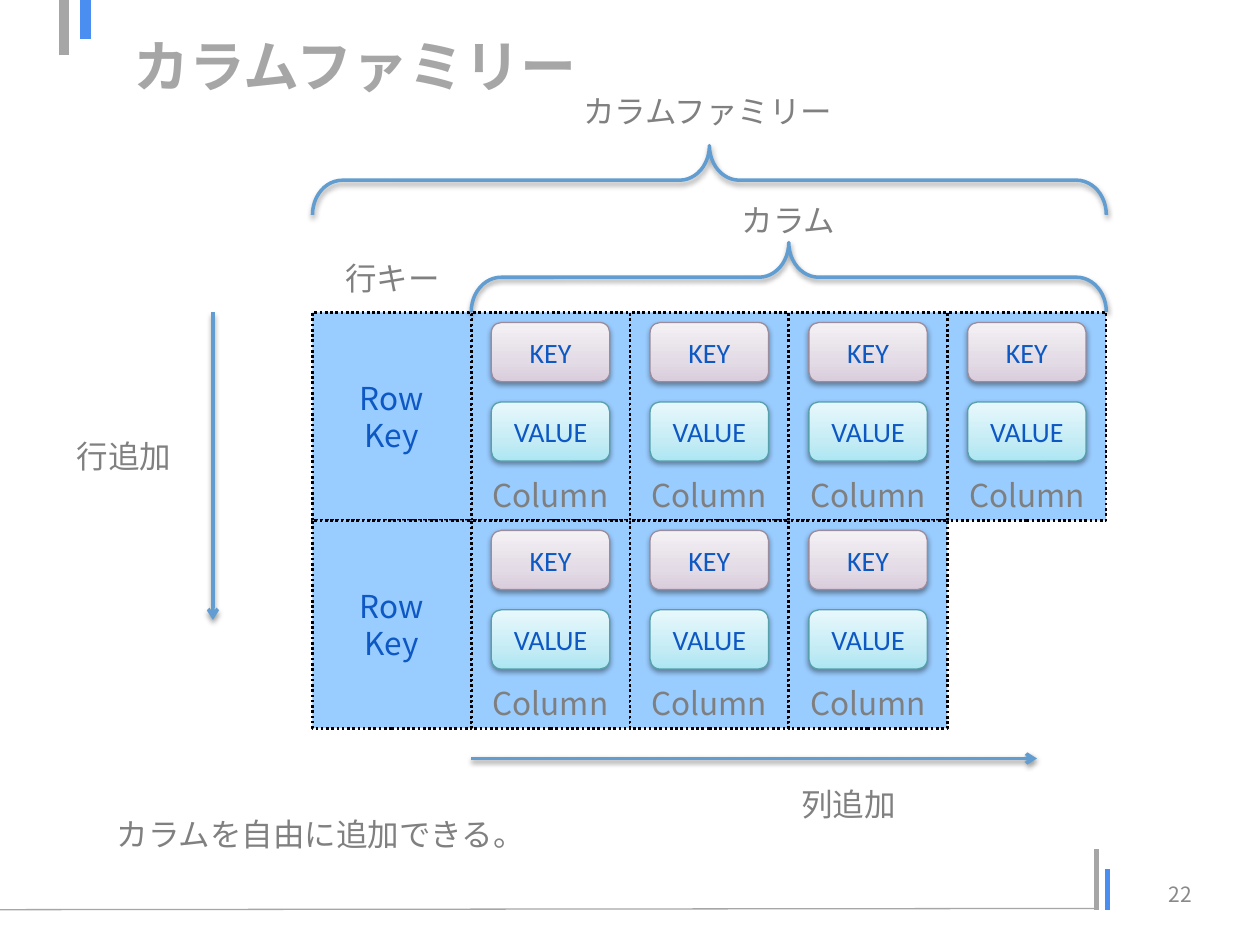
from dataclasses import dataclass
from lxml import etree
from pptx import Presentation
from pptx import util as u
from pptx.dml.color import RGBColor
from pptx.enum import dml, shapes, text
from pptx.oxml import ns


@dataclass(frozen=True)
class Theme:
    font: str = "Noto Sans CJK JP"
    latin: str = "Calibri"
    gray: str = "A6A6A6"
    accent: str = "4A8EF2"
    label: str = "808080"
    column: str = "7F7F7F"
    page: str = "898989"
    ink: str = "0E58C4"
    cell: str = "99CCFF"
    edge: str = "000000"
    arrow: str = "629DD1"
    white: str = "FFFFFF"
    key: tuple = ("9A8C9D", "D9CCDC", "E3DBE5", "F4F1F5")
    value: tuple = ("56A0AC", "ACE6F3", "C5ECF5", "E8F8FC")
    head: int = 32
    body: int = 18
    chip: int = 16
    small: int = 12


T = Theme()
LEFT, TOP, WIDE, HIGH = 2.48, 2.48, 1.26, 1.65
KIND = shapes.MSO_SHAPE
MID = text.MSO_ANCHOR.MIDDLE
ALIGN = text.PP_ALIGN


def col(n):
    return LEFT + n * WIDE


def row(n):
    return TOP + n * HIGH


def inch(*sizes):
    return [u.Inches(size) for size in sizes]


def node(parent, tag, **attrs):
    item = etree.SubElement(parent, ns.qn("a:" + tag))
    for name, value in attrs.items():
        item.set(name, str(value))
    return item


def write(frame, lines, size, color, font=T.font, align=ALIGN.LEFT, bold=False):
    for i, line in enumerate(lines):
        para = frame.add_paragraph() if i else frame.paragraphs[0]
        para.alignment = align
        run = para.add_run()
        run.text = line
        run.font.size = u.Pt(size)
        run.font.bold = bold
        run.font.color.rgb = RGBColor.from_string(color)
        run.font.name = font
        node(run.font._element, "ea", typeface=font)


def stroke(item, color, width):
    item.line.color.rgb = RGBColor.from_string(color)
    item.line.width = u.Pt(width)


def paint(shape, color):
    shape.fill.solid()
    shape.fill.fore_color.rgb = RGBColor.from_string(color)


def shade(item):
    effects = node(item._element.spPr, "effectLst")
    shadow = node(effects, "outerShdw", blurRad=u.Pt(3.1), dist=u.Pt(1.6),
                  dir=90 * 60000, rotWithShape=0)
    node(node(shadow, "srgbClr", val=T.edge), "alpha", val=38000)


def blend(shape, colors):
    shape.fill.gradient()
    grad = shape._element.spPr.find(ns.qn("a:gradFill"))
    for child in list(grad):
        grad.remove(child)
    stops = node(grad, "gsLst")
    for pos, color in zip((0, 35, 100), colors):
        node(node(stops, "gs", pos=pos * 1000), "srgbClr", val=color)
    node(grad, "lin", ang=270 * 60000, scaled=0)


def rule(slide, x1, y1, x2, y2, color, width):
    line = slide.shapes.add_connector(
        shapes.MSO_CONNECTOR.STRAIGHT, *inch(x1, y1, x2, y2))
    stroke(line, color, width)
    return line


def bar(slide, *args):
    node(rule(slide, *args)._element.spPr, "effectLst")


def arrow(slide, *ends):
    line = rule(slide, *ends, T.arrow, 2)
    node(line.line._get_or_add_ln(), "tailEnd", type="arrow")
    shade(line)


def label(slide, words, x, y, w, fill=None):
    box = slide.shapes.add_textbox(*inch(x, y, w, 0.4))
    if fill:
        paint(box, fill)
    box.text_frame.word_wrap = False
    box.text_frame.auto_size = text.MSO_AUTO_SIZE.SHAPE_TO_FIT_TEXT
    write(box.text_frame, [words], T.body, T.label)


def cell(owner, c, r, lines, color, anchor):
    box = owner.shapes.add_shape(KIND.RECTANGLE, *inch(col(c), row(r), WIDE, HIGH))
    paint(box, T.cell)
    stroke(box, T.edge, 1.5)
    box.line.dash_style = dml.MSO_LINE.ROUND_DOT
    box.shadow.inherit = False
    frame = box.text_frame
    frame.word_wrap = False
    frame.vertical_anchor = anchor
    frame.margin_left = frame.margin_right = u.Inches(0.04)
    write(frame, lines, T.body, color, align=ALIGN.CENTER)


def chip(owner, c, y, word, tones):
    box = owner.shapes.add_shape(
        KIND.ROUNDED_RECTANGLE, *inch(col(c) + 0.16, y, 0.94, 0.47))
    blend(box, tones[1:])
    stroke(box, tones[0], 0.75)
    shade(box)
    box.text_frame.vertical_anchor = MID
    write(box.text_frame, [word], T.chip, T.ink, T.latin, ALIGN.CENTER)


def entry(slide, c, r):
    group = slide.shapes.add_group_shape()
    cell(group, c, r, ["Column"], T.column, text.MSO_ANCHOR.BOTTOM)
    chip(group, c, row(r) + 0.08, "KEY", T.key)
    chip(group, c, row(r) + 0.71, "VALUE", T.value)


def brace(slide, first, last, y):
    deep, span = 0.55, (last - first) * WIDE
    x = col((first + last) / 2)
    mark = slide.shapes.add_shape(
        KIND.LEFT_BRACE, *inch(x - deep / 2, y - span / 2, deep, span))
    mark.rotation = 90
    mark.adjustments[0] = 0.43
    mark.fill.background()
    stroke(mark, T.arrow, 2)
    shade(mark)


def frame(slide):
    bar(slide, -0.04, 7.22, 8.7, 7.21, T.gray, 0.75)
    bar(slide, 8.7, 7.22, 8.7, 6.74, T.gray, 3)
    bar(slide, 8.79, 7.22, 8.79, 6.9, T.accent, 3)
    bar(slide, 0.51, 0.44, 0.51, -0.03, T.gray, 6)
    bar(slide, 0.68, 0, 0.68, 0.31, T.accent, 6)
    page = slide.shapes.add_textbox(*inch(7.23, 6.9, 2.33, 0.4)).text_frame
    page.word_wrap = True
    page.vertical_anchor = MID
    write(page, ["22"], T.small, T.page, align=ALIGN.RIGHT)
    title = slide.shapes.title
    title.left, title.top, title.width, title.height = inch(0.96, 0.04, 9, 0.96)
    title.text_frame.vertical_anchor = MID
    write(title.text_frame, ["カラムファミリー"], T.head, T.gray, bold=True)


def main():
    deck = Presentation()
    deck.slide_width, deck.slide_height = inch(10, 7.5)
    slide = deck.slides.add_slide(deck.slide_layouts[5])
    frame(slide)
    label(slide, "カラムを自由に追加できる。", 0.83, 6.42, 3.47, T.white)
    for r, count in enumerate((4, 3)):
        for c in range(1, count + 1):
            entry(slide, c, r)
        cell(slide, 0, r, ["Row", "Key"], T.ink, MID)
    arrow(slide, col(1), 6.02, 8.23, 6.02)
    arrow(slide, 1.69, row(0), 1.69, 4.92)
    brace(slide, 1, 5, 2.2)
    brace(slide, 0, 5, 1.43)
    for words, x, y, w in (
        ("カラム", 5.79, 1.55, 0.96),
        ("行キー", 2.64, 2.01, 0.96),
        ("行追加", 0.51, 3.42, 0.97),
        ("列追加", 6.26, 6.18, 0.97),
        ("カラムファミリー", 4.53, 0.68, 2.21),
    ):
        label(slide, words, x, y, w)
    deck.save("out.pptx")


if __name__ == "__main__":
    main()
